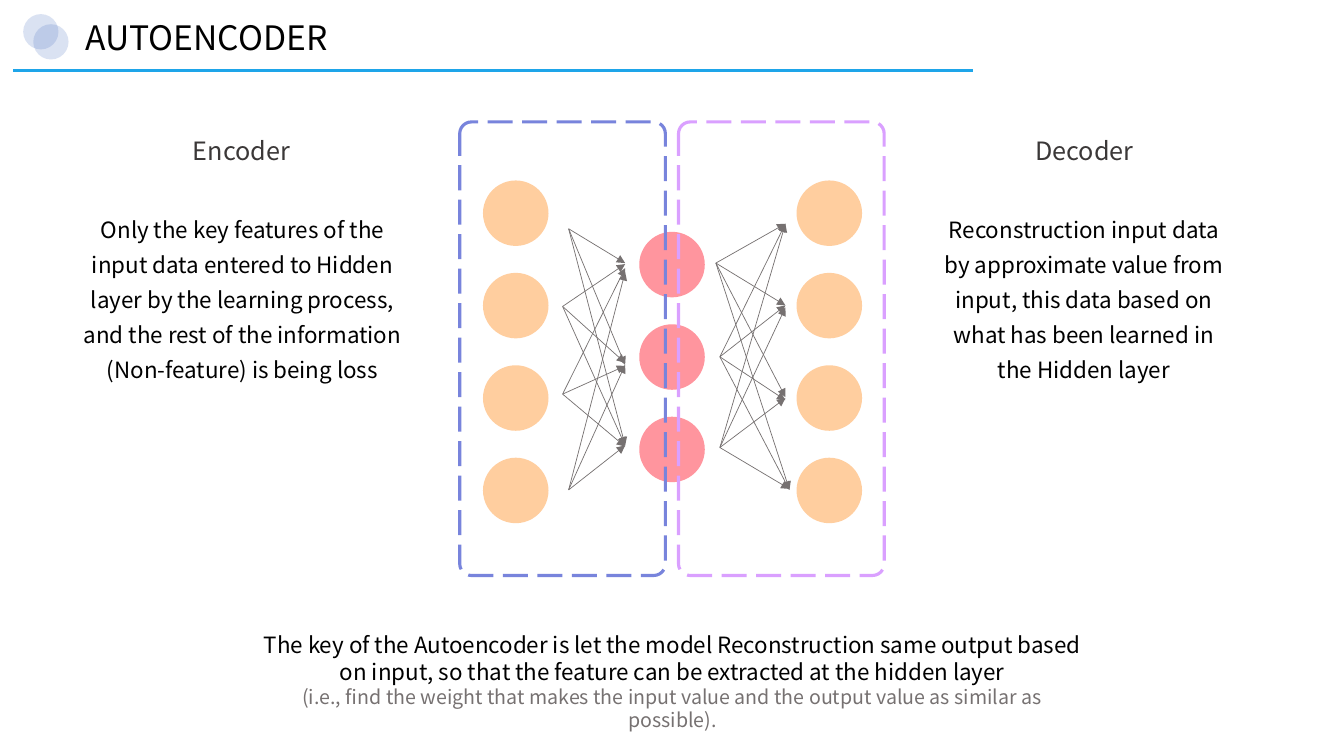
from dataclasses import dataclass

from lxml import etree
from pptx import Presentation
from pptx.dml.color import RGBColor
from pptx.enum.dml import MSO_LINE
from pptx.enum.shapes import MSO_CONNECTOR, MSO_SHAPE
from pptx.enum.text import MSO_AUTO_SIZE, PP_ALIGN
from pptx.oxml.ns import qn
from pptx.util import Inches, Pt

OVAL, ROUNDED = MSO_SHAPE.OVAL, MSO_SHAPE.ROUNDED_RECTANGLE
STRAIGHT = MSO_CONNECTOR.STRAIGHT
LONG_DASH = MSO_LINE.LONG_DASH
LEFT, CENTER = PP_ALIGN.LEFT, PP_ALIGN.CENTER
GROW = MSO_AUTO_SIZE.SHAPE_TO_FIT_TEXT

# The grid has square cells, ten columns or rows to the inch
COLS, ROWS = 133.3, 75


@dataclass(frozen=True)
class Theme:
    font: str = "Noto Sans CJK KR"
    ink: str = "000000"
    heading: str = "3B3838"
    muted: str = "767171"
    rule: str = "1EA5E9"
    badge: str = "4970C2"
    outer_node: str = "FFCE9F"
    hidden_node: str = "FF959E"
    encoder: str = "7884DC"
    decoder: str = "DAA0FF"
    title_size: float = 24
    heading_size: float = 18
    body_size: float = 16
    note_size: float = 14
    thick: float = 2.25
    thin: float = 0.5


THEME = Theme()
NODE, NODE_STEP = 6.5, 9.17

# Each arrow start with the points it leads to
ENCODER_ARROWS = {
    (56.4, 22.7): [(62, 26.1), (62, 36.2), (62, 44.2)],
    (55.8, 30.4): [(62, 26.2), (62, 36), (62, 44.2)],
    (55.8, 39.1): [(62, 26.6), (62, 36.3), (62, 44.3)],
    (56.4, 48.6): [(62, 27), (62, 36.2), (62, 44.2)],
}
DECODER_ARROWS = {
    (71, 26.1): [(77.9, 22.2), (77.9, 30.3), (77.9, 39.4), (78.3, 48.6)],
    (71.4, 35.4): [(77.9, 22.2), (77.9, 30.3), (77.9, 39.7), (78.3, 48.6)],
    (71.4, 44.4): [(77.9, 22.2), (77.9, 30.5), (77.9, 39.5), (78.3, 48.5)],
}

ENCODER_TEXT = ("Only the key features of the input data entered to Hidden layer by "
                "the learning process, and the rest of the information "
                "(Non-feature) is being loss")
DECODER_TEXT = ("Reconstruction input data by approximate value from input, this data "
                "based on what has been learned in the Hidden layer")
KEY_TEXT = ("The key of the Autoencoder is let the model Reconstruction same output "
            "based on input, so that the feature can be extracted at the hidden layer")
NOTE_TEXT = ("(i.e., find the weight that makes the input value and the output value "
             "as similar as possible).")


def cells(*counts):
    return [Inches(count / 10) for count in counts]


def rgb(color):
    return RGBColor.from_string(color)


def add_circle(s, x, y, size, color, opacity=100):
    sp = s.shapes.add_shape(OVAL, *cells(x, y, size, size))
    sp.shadow.inherit = False
    sp.fill.solid()
    sp.fill.fore_color.rgb = rgb(color)
    sp.line.fill.background()
    if opacity < 100:
        fill_color = sp.fill._xPr.find(qn("a:solidFill"))[0]
        etree.SubElement(fill_color, qn("a:alpha"), val=str(opacity * 1000))


def add_layer(s, x, top, count, color):
    for i in range(count):
        add_circle(s, x, top + i * NODE_STEP, NODE, color)


def add_line(s, start, end, color, width, arrow=False):
    line = s.shapes.add_connector(STRAIGHT, *cells(*start, *end))
    line.line.color.rgb = rgb(color)
    line.line.width = Pt(width)
    if arrow:
        etree.SubElement(line.line._get_or_add_ln(), qn("a:tailEnd"), type="triangle")
    etree.SubElement(line._element.spPr, qn("a:effectLst"))


def add_arrows(s, arrows):
    for start, ends in arrows.items():
        for end in ends:
            add_line(s, start, end, THEME.muted, THEME.thin, arrow=True)


def add_frame(s, x, color):
    sp = s.shapes.add_shape(ROUNDED, *cells(x, 12.1, 20.4, 45))
    sp.shadow.inherit = False
    sp.adjustments[0] = 0.057
    sp.fill.background()
    sp.line.color.rgb = rgb(color)
    sp.line.width = Pt(THEME.thick)
    sp.line.dash_style = LONG_DASH


def add_box(s, x, y, width, height):
    tf = s.shapes.add_textbox(*cells(x, y, width, height)).text_frame
    tf.word_wrap = True
    tf.auto_size = GROW
    return tf


def write(tf, text, size=THEME.body_size, color=THEME.ink, align=CENTER, spacing=None):
    p = tf.add_paragraph() if tf.text else tf.paragraphs[0]
    p.alignment = align
    if spacing:
        p.line_spacing = spacing
    r = p.add_run()
    r.text = text
    r.font.name = THEME.font
    r.font.size = Pt(size)
    r.font.color.rgb = rgb(color)


def add_header(s):
    for x, y in ((2.3, 1.4), (3.3, 2.4)):
        add_circle(s, x, y, 3.5, THEME.badge, opacity=20)
    add_line(s, (1.3, 7), (96.5, 7), THEME.rule, THEME.thick)
    write(add_box(s, 7.5, 1.2, 82.2, 5), "AUTOENCODER",
          size=THEME.title_size, align=LEFT)


def add_network(s):
    add_layer(s, 47.9, 17.9, 4, THEME.outer_node)
    add_layer(s, 63.4, 23, 3, THEME.hidden_node)
    add_layer(s, 79, 17.9, 4, THEME.outer_node)
    add_arrows(s, ENCODER_ARROWS)
    add_arrows(s, DECODER_ARROWS)
    add_frame(s, 45.6, THEME.encoder)
    add_frame(s, 67.3, THEME.decoder)


def add_side(s, heading, heading_x, body, body_x, body_width):
    write(add_box(s, heading_x, 12.9, 27.1, 4), heading,
          size=THEME.heading_size, color=THEME.heading)
    write(add_box(s, body_x, 20.2, body_width, 18.3), body, spacing=1.3)


def main():
    prs = Presentation()
    prs.slide_width, prs.slide_height = cells(COLS, ROWS)
    s = prs.slides.add_slide(prs.slide_layouts[6])

    add_header(s)
    add_network(s)

    # Explanations beside the network
    add_side(s, "Encoder", 10.4, ENCODER_TEXT, 6.6, 34.9)
    add_side(s, "Decoder", 94, DECODER_TEXT, 92, 31)

    # Takeaway below the network
    tf = add_box(s, 24.7, 62.1, 84, 8.8)
    write(tf, KEY_TEXT)
    write(tf, NOTE_TEXT, size=THEME.note_size, color=THEME.muted)

    prs.save("out.pptx")


if __name__ == "__main__":
    main()
